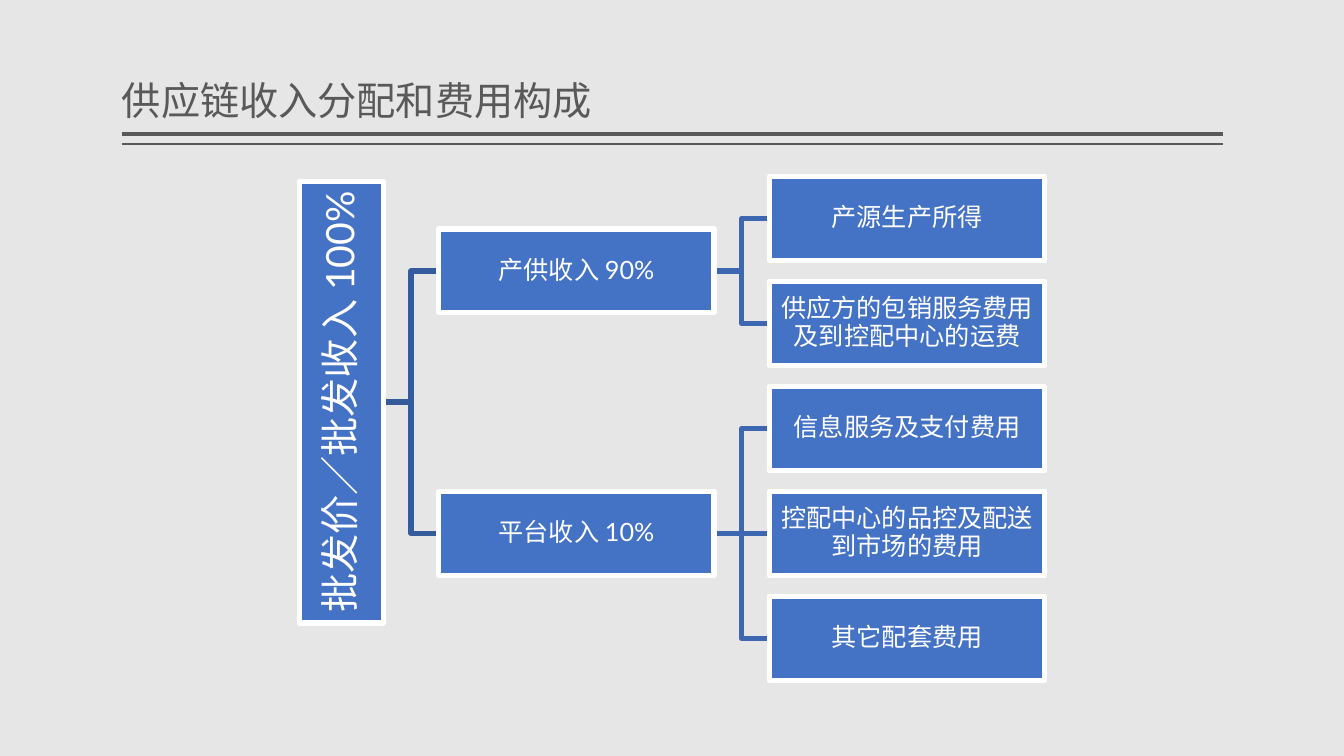
import pptx
import pptx.dml.color
import pptx.enum.shapes
import pptx.enum.text
import pptx.oxml
import pptx.oxml.ns
import pptx.util

Pt = pptx.util.Pt

TITLE = "供应链收入分配和费用构成"
ROOT = "批发价／批发收入 100%"
BRANCHES = [
    ("产供收入 90%", ["产源生产所得", "供应方的包销服务费用及到控配中心的运费"]),
    ("平台收入 10%", ["信息服务及支付费用", "控配中心的品控及配送到市场的费用", "其它配套费用"]),
]
COLORS = {
    "background": "E7E6E6",
    "title": "595959",
    "box": "4472C4",
    "white": "FFFFFF",
    "root link": "365B9D",
    "branch link": "3E67B2",
}

MARGIN, CONTENT_WIDTH = 87.1, 786.3
TITLE_RULES = [(96, 3), (103, 1)]  # height on the slide, line width
BOX_WIDTH, BOX_HEIGHT = 196.8, 59.8
ROOT_LENGTH = 315.4
COLUMN_GAP = 39.4
ROOT_LEFT = 214.1
BRANCH_LEFT = ROOT_LEFT + BOX_HEIGHT + COLUMN_GAP
LEAF_LEFT = BRANCH_LEFT + BOX_WIDTH + COLUMN_GAP
FIRST_LEAF_CENTER, LEAF_PITCH = 156, 75
LINE_WIDTH = 3.78


def color(name):
    return pptx.dml.color.RGBColor.from_string(COLORS[name])


def style_line(shape, color_name, width=LINE_WIDTH):
    """Set a solid line with round corners and no theme effects."""
    shape.line.color.rgb = color(color_name)
    shape.line.width = Pt(width)
    properties = shape._element.spPr
    line = properties.find(pptx.oxml.ns.qn("a:ln"))
    line.append(line.makeelement(pptx.oxml.ns.qn("a:round"), {}))
    if properties.find(pptx.oxml.ns.qn("a:effectLst")) is None:
        properties.append(properties.makeelement(pptx.oxml.ns.qn("a:effectLst"), {}))


def write(shape, text, size, font_name, color_name, alignment, anchor, insets):
    """Fill a shape with one paragraph; insets are (horizontal, vertical)."""
    frame = shape.text_frame
    frame.word_wrap = True
    frame.vertical_anchor = anchor
    frame.margin_left = frame.margin_right = Pt(insets[0])
    frame.margin_top = frame.margin_bottom = Pt(insets[1])
    paragraph = frame.paragraphs[0]
    paragraph.text = text
    paragraph.alignment = alignment
    paragraph.line_spacing = 0.9
    paragraph.font.size = Pt(size)
    paragraph.font.name = font_name
    paragraph.font.color.rgb = color(color_name)


def add_box(slide, text, left, center, width=BOX_WIDTH, size=18, inset=0.7):
    box = slide.shapes.add_shape(
        pptx.enum.shapes.MSO_SHAPE.RECTANGLE,
        Pt(left), Pt(center - BOX_HEIGHT / 2), Pt(width), Pt(BOX_HEIGHT))
    box.shadow.inherit = False
    box.fill.solid()
    box.fill.fore_color.rgb = color("box")
    style_line(box, "white")
    write(box, text, size, "Lato", "white", pptx.enum.text.PP_ALIGN.CENTER,
          pptx.enum.text.MSO_ANCHOR.MIDDLE, (inset, inset))
    return box


def add_straight(slide, left, right, y):
    return slide.shapes.add_connector(
        pptx.enum.shapes.MSO_CONNECTOR.STRAIGHT, Pt(left), Pt(y), Pt(right), Pt(y))


def add_elbow(slide, left, start_y, end_y):
    """Draw a stepped link across one column gap."""
    middle, right = left + COLUMN_GAP / 2, left + COLUMN_GAP
    builder = slide.shapes.build_freeform(Pt(left), Pt(start_y))
    corners = [(middle, start_y), (middle, end_y), (right, end_y)]
    builder.add_line_segments([(Pt(x), Pt(y)) for x, y in corners], close=False)
    elbow = builder.convert_to_shape()
    elbow.shadow.inherit = False
    elbow.fill.background()
    return elbow


def finish_link(slide, link, color_name):
    """Style a link and send it behind the boxes."""
    style_line(link, color_name)
    slide.shapes._spTree.insert(2, link._element)


def add_title(slide):
    title = slide.shapes.add_textbox(Pt(MARGIN), Pt(5.8), Pt(CONTENT_WIDTH), Pt(86.4))
    write(title, TITLE, 28, "Arial", "title", pptx.enum.text.PP_ALIGN.LEFT,
          pptx.enum.text.MSO_ANCHOR.BOTTOM, (0, 3.6))
    for y, width in TITLE_RULES:
        style_line(add_straight(slide, MARGIN, MARGIN + CONTENT_WIDTH, y), "title", width)


def add_tree(slide):
    branch_centers = []
    leaf_center = FIRST_LEAF_CENTER
    for branch_text, leaves in BRANCHES:
        center = leaf_center + LEAF_PITCH * (len(leaves) - 1) / 2
        branch_centers.append(center)
        branch = add_box(slide, branch_text, BRANCH_LEFT, center)
        for leaf_text in leaves:
            leaf = add_box(slide, leaf_text, LEAF_LEFT, leaf_center)
            if leaf_center == center:
                link = add_straight(slide, BRANCH_LEFT + BOX_WIDTH, LEAF_LEFT, center)
                link.begin_connect(branch, 3)
                link.end_connect(leaf, 1)
            else:
                link = add_elbow(slide, BRANCH_LEFT + BOX_WIDTH, center, leaf_center)
            finish_link(slide, link, "branch link")
            leaf_center += LEAF_PITCH

    root_center = sum(branch_centers) / len(branch_centers)
    root_left = ROOT_LEFT + (BOX_HEIGHT - ROOT_LENGTH) / 2
    root = add_box(slide, ROOT, root_left, root_center, ROOT_LENGTH, 28, 1.4)
    root.rotation = 270
    for center in branch_centers:
        link = add_elbow(slide, ROOT_LEFT + BOX_HEIGHT, root_center, center)
        finish_link(slide, link, "root link")


def main():
    presentation = pptx.Presentation()
    presentation.slide_width, presentation.slide_height = Pt(960), Pt(540)
    slide = presentation.slides.add_slide(presentation.slide_layouts[6])
    slide.background.fill.solid()
    slide.background.fill.fore_color.rgb = color("background")
    add_title(slide)
    add_tree(slide)
    presentation.save("out.pptx")


if __name__ == "__main__":
    main()
